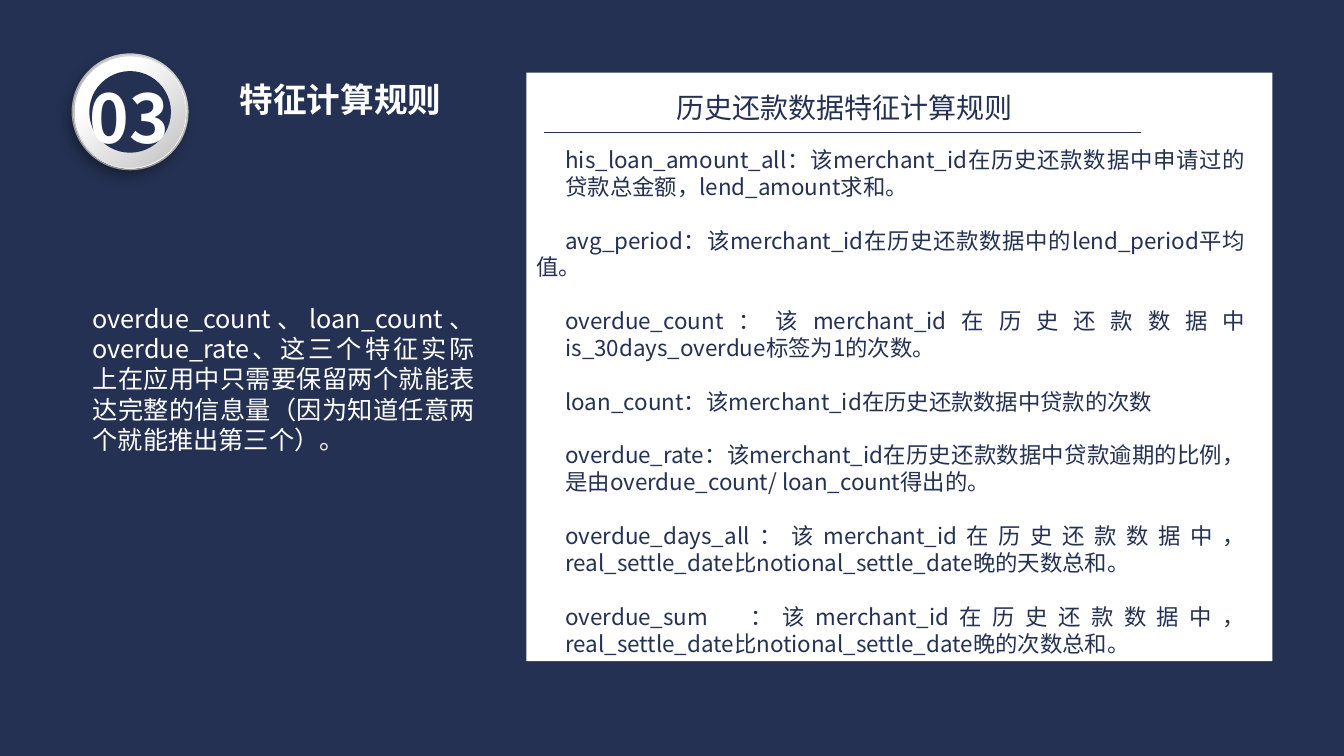
from lxml.etree import SubElement
from pptx import Presentation
from pptx.dml.color import RGBColor
from pptx.enum.shapes import MSO_CONNECTOR as Line, MSO_SHAPE as Shape
from pptx.enum.text import PP_ALIGN as Align
from pptx.oxml import parse_xml
from pptx.oxml.ns import nsdecls, qn
from pptx.util import Inches, Pt

NUMBER = "03"
TITLE = "特征计算规则"
HEADING = "历史还款数据特征计算规则"
NOTE = ("overdue_count、loan_count、overdue_rate、这三个特征实际上在应用中"
        "只需要保留两个就能表达完整的信息量（因为知道任意两个就能推出第三个）。")
# Each rule: text, left margin, first-line indent
HANG, FIRST = (0.29, 0), (0, 0.29)
RULES = [
    ("his_loan_amount_all：该merchant_id在历史还款数据中申请过的贷款总金额，"
     "lend_amount求和。", HANG),
    ("avg_period：该merchant_id在历史还款数据中的lend_period平均值。", FIRST),
    ("overdue_count：该merchant_id在历史还款数据中"
     "is_30days_overdue标签为1的次数。", HANG),
    ("loan_count：该merchant_id在历史还款数据中贷款的次数", FIRST),
    ("overdue_rate：该merchant_id在历史还款数据中贷款逾期的比例，"
     "是由overdue_count/ loan_count得出的。", HANG),
    ("overdue_days_all：该merchant_id在历史还款数据中，"
     "real_settle_date比notional_settle_date晚的天数总和。", HANG),
    ("overdue_sum  ：该merchant_id在历史还款数据中，"
     "real_settle_date比notional_settle_date晚的次数总和。", HANG),
]

THEME = {
    "font": "Noto Sans CJK SC",
    "navy": "243152", "white": "FFFFFF", "rim": "D3D3D3",
    # Gradient stops: position, colour
    "outer": [(0.17, "FFFFFF"), (0.88, "B8B8B8")],
    "inner": [(0.29, "FFFFFF"), (0.98, "BFBFBF")],
    # Type: size, line height in points
    "number": (48, 61), "title": (24, 31), "heading": (20, 30),
    "note": (18, 21.6), "rule": (16, 19.2),
}
CENTER = (1.29, 1.11)
# Badge discs from back to front: diameter, rotation, fill
DISCS = [(1.16, 90, "rim"), (1.12, 152.3, "outer"),
         (1.1, 3, "inner"), (0.81, 90, "navy")]


def rgb(name):
    return RGBColor.from_string(THEME.get(name, name))


def paint(shape, name):
    """Fill a shape with a flat colour or a two-stop gradient."""
    shape.shadow.inherit = False
    shape.line.fill.background()
    fill = shape.fill
    if isinstance(THEME[name], str):
        fill.solid()
        fill.fore_color.rgb = rgb(name)
        return
    fill.gradient()
    fill.gradient_angle = 315
    for stop, (pos, tone) in zip(fill.gradient_stops, THEME[name]):
        stop.position = pos
        stop.color.rgb = rgb(tone)


def cast(shape):
    """Give a shape a soft shadow towards the lower left."""
    effects = shape._element.spPr.find(qn("a:effectLst"))
    effects.append(parse_xml(
        f'<a:outerShdw {nsdecls("a")} blurRad="{Pt(10)}" dist="{Pt(5)}" '
        f'dir="{123 * 60000}" rotWithShape="0"><a:srgbClr val="000000">'
        '<a:alpha val="39000"/></a:srgbClr></a:outerShdw>'))


def badge(slide):
    group = slide.shapes.add_group_shape()
    for size, turn, tone in DISCS:
        left, top = (Inches(c - size / 2) for c in CENTER)
        disc = group.shapes.add_shape(
            Shape.OVAL, left, top, Inches(size), Inches(size))
        disc.rotation = turn
        paint(disc, tone)
        if tone == "outer":
            cast(disc)


def write(slide, box, items, kind, tone, align=Align.LEFT, bold=False):
    """Add a text box; items are (text, (margin, indent)) pairs."""
    frame = slide.shapes.add_textbox(*map(Inches, box)).text_frame
    frame.word_wrap = True
    size, pitch = THEME[kind]
    for i, (text, (margin, indent)) in enumerate(items):
        para = frame.add_paragraph() if i else frame.paragraphs[0]
        para.text = text
        para.alignment = align
        para.line_spacing = Pt(pitch)
        if i < len(items) - 1:
            para.space_after = Pt(pitch)
        props = para._p.get_or_add_pPr()
        props.set("marL", str(Inches(margin)))
        props.set("indent", str(Inches(indent)))
        font = para.font
        font.size, font.bold, font.name = Pt(size), bold, THEME["font"]
        font.color.rgb = rgb(tone)
        SubElement(font._rPr, qn("a:ea")).set("typeface", THEME["font"])


def main():
    deck = Presentation()
    deck.slide_width, deck.slide_height = Inches(13.33), Inches(7.5)
    slide = deck.slides.add_slide(deck.slide_layouts[6])
    back = slide.background.fill
    back.solid()
    back.fore_color.rgb = rgb("navy")

    badge(slide)
    flush = (0, 0)
    write(slide, (0.59, 0.66, 1.39, 0.91), [(NUMBER, flush)],
          "number", "white", Align.CENTER, True)
    write(slide, (2.28, 0.7, 2.8, 0.5), [(TITLE, flush)],
          "title", "white", bold=True)

    panel = slide.shapes.add_shape(
        Shape.RECTANGLE, *map(Inches, (5.22, 0.72, 7.4, 5.84)))
    paint(panel, "white")
    rule = slide.shapes.add_connector(
        Line.STRAIGHT, *map(Inches, (5.4, 1.31, 11.32, 1.31)))
    rule.line.color.rgb = rgb("navy")
    rule.line.width = Pt(0.5)
    SubElement(rule._element.spPr, qn("a:effectLst"))

    write(slide, (6.61, 0.77, 4.07, 0.48), [(HEADING, flush)],
          "heading", "navy")
    write(slide, (5.22, 1.4, 7.23, 5.22), RULES,
          "rule", "navy", Align.JUSTIFY)
    write(slide, (0.53, 2.96, 4.28, 1.62), [(NOTE, HANG)],
          "note", "white", Align.JUSTIFY)
    deck.save("out.pptx")


if __name__ == "__main__":
    main()
